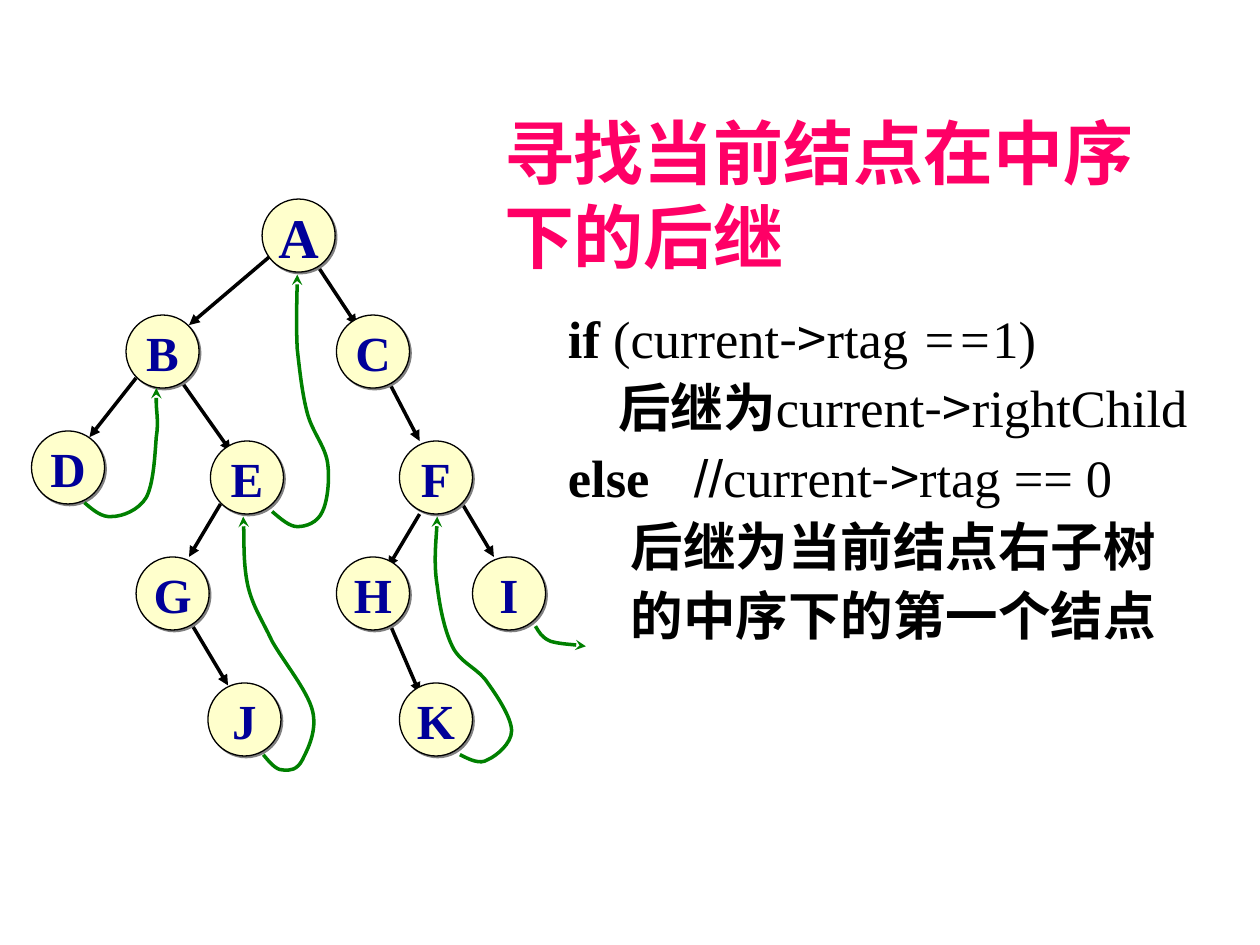
from lxml import etree
from pptx import Presentation
from pptx.dml.color import RGBColor
from pptx.enum.shapes import MSO_CONNECTOR, MSO_SHAPE
from pptx.enum.text import MSO_ANCHOR, MSO_AUTO_SIZE, PP_ALIGN
from pptx.oxml.ns import qn
from pptx.util import Inches, Pt

STRAIGHT, OVAL = MSO_CONNECTOR.STRAIGHT, MSO_SHAPE.OVAL
TOP, MIDDLE = MSO_ANCHOR.TOP, MSO_ANCHOR.MIDDLE
LEFT, CENTER = PP_ALIGN.LEFT, PP_ALIGN.CENTER
NO_FIT = MSO_AUTO_SIZE.NONE

BLACK = RGBColor(0, 0, 0)
PINK = RGBColor(0xFF, 0x00, 0x66)
NAVY = RGBColor(0x00, 0x00, 0x99)
CREAM = RGBColor(0xFF, 0xFF, 0xCC)
GREEN = RGBColor(0x00, 0x80, 0x00)

SERIF, SANS, CJK = "Times New Roman", "Arial", "Noto Sans CJK SC"
NODE_SIZE = 0.58

NODES = {
    "A": (1.83, 0), "B": (0.75, 0.92), "C": (2.42, 0.92),
    "D": (0, 1.84), "E": (1.42, 1.92), "F": (2.92, 1.92),
    "G": (0.83, 2.84), "H": (2.42, 2.84), "I": (3.5, 2.84),
    "J": (1.4, 3.84), "K": (2.92, 3.84),
}
BRANCHES = [
    (2.25, 0.5, 2.58, 1), (2.82, 1.42, 3.08, 1.92), (3.42, 2.42, 3.67, 2.84),
    (3.08, 2.5, 2.83, 2.92), (2.83, 3.34, 3.08, 3.92), (1.91, 0.44, 1.25, 1),
    (1.17, 1.42, 1.58, 2), (1.5, 2.42, 1.25, 2.84), (1.25, 3.34, 1.56, 3.86),
    (0.83, 1.42, 0.46, 1.89),
]
THREADS = [
    [(0.42, 2.41), (0.49, 2.47), (0.56, 2.53), (0.64, 2.52), (0.72, 2.52),
     (0.85, 2.47), (0.91, 2.37), (0.97, 2.26), (0.98, 2.02), (0.99, 1.89),
     (1.01, 1.77), (0.99, 1.68), (0.99, 1.62), (0.99, 1.55), (0.99, 1.52),
     (0.99, 1.5)],
    [(1.91, 2.48), (1.98, 2.54), (2.05, 2.6), (2.11, 2.6), (2.18, 2.6),
     (2.27, 2.57), (2.31, 2.48), (2.35, 2.4), (2.37, 2.22), (2.35, 2.09),
     (2.33, 1.96), (2.23, 1.85), (2.19, 1.7), (2.15, 1.55), (2.13, 1.37),
     (2.11, 1.19), (2.1, 1), (2.11, 0.69), (2.11, 0.6)],
    [(1.84, 4.41), (1.89, 4.47), (1.94, 4.53), (1.99, 4.53), (2.05, 4.54),
     (2.11, 4.53), (2.15, 4.45), (2.19, 4.37), (2.27, 4.22), (2.23, 4.06),
     (2.19, 3.9), (2, 3.67), (1.91, 3.51), (1.83, 3.34), (1.76, 3.24),
     (1.72, 3.08), (1.68, 2.91), (1.69, 2.62), (1.68, 2.52)],
    [(3.4, 4.41), (3.48, 4.45), (3.56, 4.49), (3.62, 4.45), (3.69, 4.42),
     (3.81, 4.32), (3.81, 4.22), (3.81, 4.12), (3.7, 3.95), (3.62, 3.84),
     (3.55, 3.73), (3.42, 3.69), (3.35, 3.57), (3.28, 3.44), (3.24, 3.24),
     (3.22, 3.07), (3.19, 2.89), (3.22, 2.61), (3.22, 2.52)],
    [(4, 3.39), (4.03, 3.44), (4.05, 3.48), (4.12, 3.51), (4.19, 3.53),
     (4.35, 3.54), (4.4, 3.55)],
]
CODE = [
    (0, [("if", SERIF, True, False), (" (current", SERIF, False, False),
         ("->", CJK, False, False), ("rtag ", SERIF, False, False),
         ("==", SERIF, False, True), ("1)", SERIF, False, False)]),
    (0.4, [("后继为", SERIF, True, False), ("current", SERIF, False, False),
           ("->", CJK, False, False), ("rightChild", SERIF, False, False)]),
    (0, [("else\t", SERIF, True, False), ("//", SANS, False, False),
         ("current", SERIF, False, False), ("->", CJK, False, False),
         ("rtag == 0", SERIF, False, False)]),
    (0.5, [("后继为当前结点右子树", SERIF, True, False)]),
    (0.5, [("的中序下的第一个结点", SERIF, True, False)]),
]


def add_span(para, text, size, color, face=SERIF, bold=True, italic=False):
    span = para.add_run()
    span.text = text
    font = span.font
    font.name, font.size, font.bold, font.italic = face, Pt(size), bold, italic
    font.color.rgb = color


def style_line(shape, color, arrowhead):
    shape.line.color.rgb = color
    shape.line.width = Pt(2)
    properties = shape._element.spPr
    etree.SubElement(properties.find(qn("a:ln")), qn("a:tailEnd"), type=arrowhead)
    if properties.find(qn("a:effectLst")) is None:
        etree.SubElement(properties, qn("a:effectLst"))


def add_branch(page, left, top, branch):
    x1, y1, x2, y2 = branch
    line = page.shapes.add_connector(
        STRAIGHT, Inches(left + x1), Inches(top + y1), Inches(left + x2), Inches(top + y2))
    style_line(line, BLACK, "triangle")


def add_node(page, left, top, letter):
    x, y = NODES[letter]
    node = page.shapes.add_shape(
        OVAL, Inches(left + x), Inches(top + y), Inches(NODE_SIZE), Inches(NODE_SIZE))
    node.fill.solid()
    node.fill.fore_color.rgb = CREAM
    node.line.color.rgb = BLACK
    node.line.width = Pt(0.75)
    node.shadow.inherit = False
    effects = node._element.spPr.find(qn("a:effectLst"))
    shadow = etree.SubElement(
        effects, qn("a:outerShdw"), dist=str(Pt(1.4)), dir="2700000", algn="ctr", rotWithShape="0")
    etree.SubElement(shadow, qn("a:srgbClr"), val="808080")
    frame = node.text_frame
    frame.word_wrap = False
    frame.vertical_anchor = MIDDLE
    para = frame.paragraphs[0]
    para.alignment = CENTER
    add_span(para, letter, 32 if letter == "A" else 28, NAVY)


def add_thread(page, left, top, points):
    start, *rest = [(Inches(left + x), Inches(top + y)) for x, y in points]
    builder = page.shapes.build_freeform(*start)
    builder.add_line_segments(rest, close=False)
    thread = builder.convert_to_shape()
    outline = thread._element.find(".//" + qn("a:path"))
    segments = outline.findall(qn("a:lnTo"))
    for first in range(0, len(segments), 3):
        curve = etree.SubElement(outline, qn("a:cubicBezTo"))
        for segment in segments[first:first + 3]:
            curve.append(segment[0])
            outline.remove(segment)
    thread.fill.background()
    thread.shadow.inherit = False
    style_line(thread, GREEN, "stealth")


def add_tree(page, left, top):
    for branch in BRANCHES:
        add_branch(page, left, top, branch)
    for letter in NODES:
        add_node(page, left, top, letter)
    for points in THREADS:
        add_thread(page, left, top, points)


def place_title(page, left, top, width, height):
    title = page.shapes.title
    title.left, title.top = Inches(left), Inches(top)
    title.width, title.height = Inches(width), Inches(height)
    frame = title.text_frame
    frame.word_wrap = True
    frame.auto_size = NO_FIT
    frame.vertical_anchor = TOP
    para = frame.paragraphs[0]
    para.alignment = LEFT
    add_span(para, "寻找当前结点在中序下的后继", 40, PINK)


def add_code(page, left, top, width, height):
    box = page.shapes.add_textbox(Inches(left), Inches(top), Inches(width), Inches(height))
    frame = box.text_frame
    frame.word_wrap = True
    for index, (indent, spans) in enumerate(CODE):
        para = frame.add_paragraph() if index else frame.paragraphs[0]
        para.line_spacing = 1.1
        properties = para._p.get_or_add_pPr()
        properties.set("marL", str(Inches(indent)))
        properties.set("indent", "0")
        tabs = etree.SubElement(properties, qn("a:tabLst"))
        etree.SubElement(tabs, qn("a:tab"), pos=str(Inches(0.95)), algn="l")
        for text, face, bold, italic in spans:
            add_span(para, text, 30, BLACK, face, bold, italic)


def main():
    deck = Presentation()
    deck.slide_width, deck.slide_height = Inches(10), Inches(7.5)
    page = deck.slides.add_slide(deck.slide_layouts[5])
    add_code(page, 4.41, 2.33, 5.4, 5.05)
    place_title(page, 3.9, 0.82, 5.75, 1.44)
    add_tree(page, 0.25, 1.58)
    deck.save("out.pptx")


if __name__ == "__main__":
    main()
